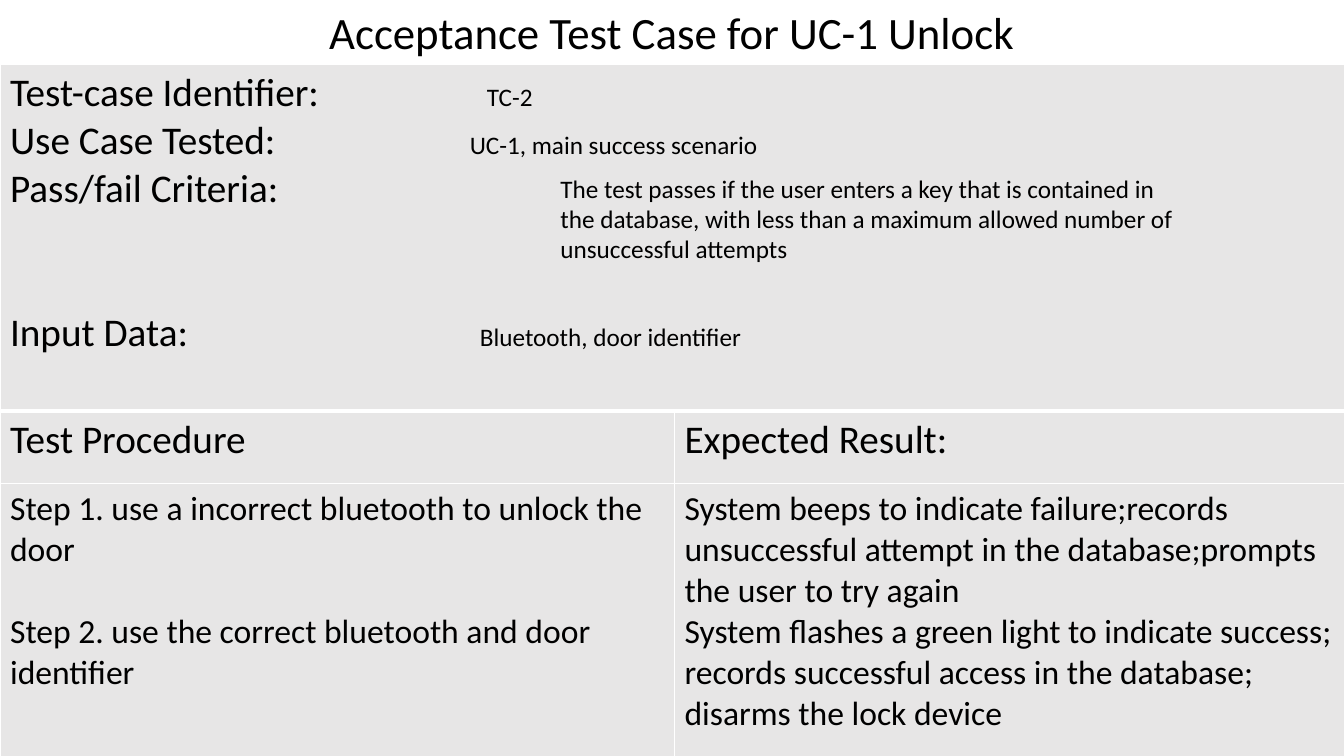
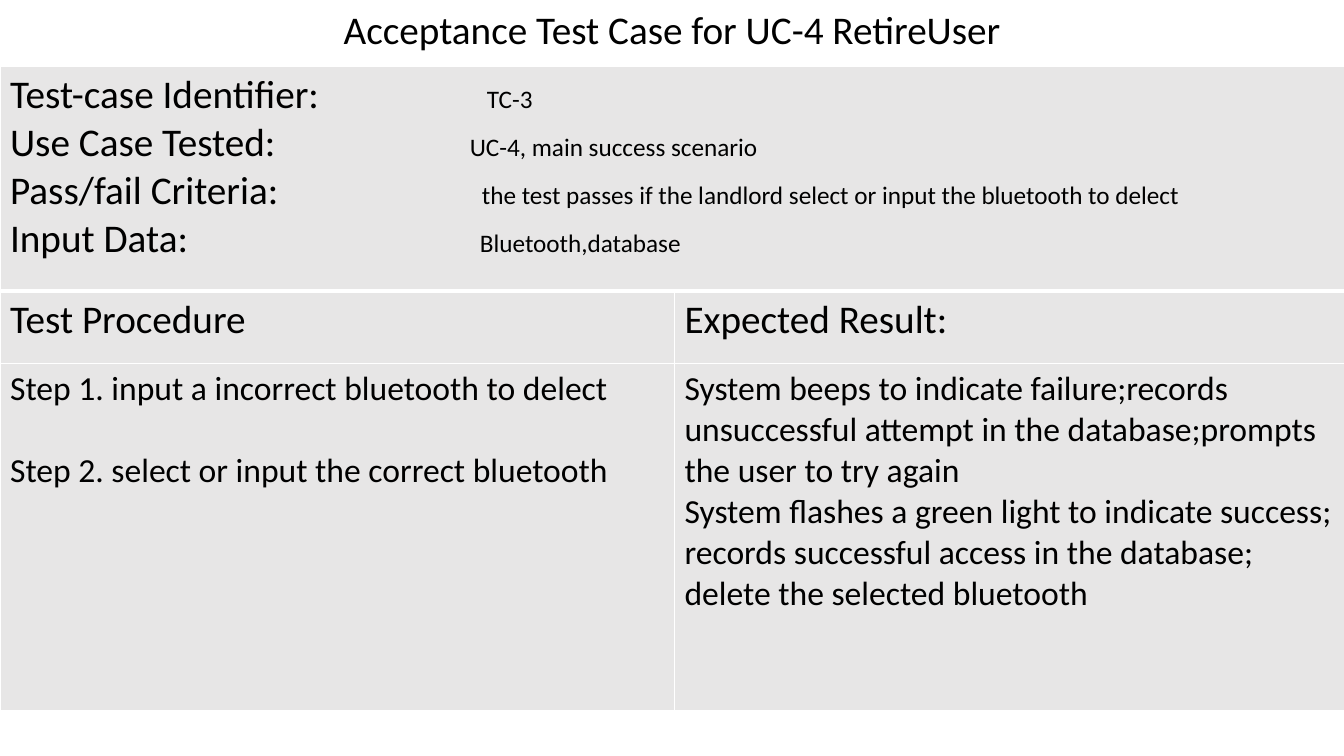
from dataclasses import dataclass

from lxml import etree
from pptx import Presentation
from pptx import util as u
from pptx.dml.color import RGBColor
from pptx.enum import text
from pptx.oxml import ns

SLIDE_WIDTH, SLIDE_HEIGHT = 13.33, 7.5
COLUMNS = (6.69, 6.66)
HEADING_ROW, STEPS_ROW = 0.72, 3.44
TITLE_ONLY = 5


@dataclass(frozen=True)
class Theme:
    font: str = "Calibri"
    ink: str = "000000"
    panel: str = "E7E6E6"
    rule: str = "FFFFFF"
    label: int = 28
    step: int = 24
    value: int = 18
    thin: float = 1
    thick: float = 3
    line_height: float = 1.22


THEME = Theme()

# Field label and the distance from the cell's text edge to its value
FIELDS = (
    ("Test-case Identifier:", 4.73),
    ("Use Case Tested:", 4.56),
    ("Pass/fail Criteria:", 4.68),
    ("Input Data:", 4.66),
)

SHARED_RESULTS = (
    "System beeps to indicate failure;records unsuccessful attempt "
    "in the database;prompts the user to try again",
    "System flashes a green light to indicate success;",
    "records successful access in the database;",
)


@dataclass(frozen=True)
class TestCase:
    title: str
    title_size: int
    title_width: float
    title_height: float
    table_top: float
    summary_row: float
    values: tuple
    steps: tuple
    outcome: str
    criteria_note: tuple = ()


TEST_CASES = (
    TestCase(
        title="Acceptance Test Case for UC-1 Unlock",
        title_size=32,
        title_width=11.49,
        title_height=0.64,
        table_top=0.64,
        summary_row=3.44,
        values=("TC-2", "UC-1, main success scenario", "",
                "Bluetooth, door identifier"),
        steps=("Step 1. use a incorrect bluetooth to unlock the door",
               "Step 2. use the correct bluetooth and door identifier"),
        outcome="disarms the lock device",
        criteria_note=(
            "The test passes if the user enters a key that is contained in",
            "the database, with less than a maximum allowed number of",
            "unsuccessful attempts",
        ),
    ),
    TestCase(
        title="Acceptance Test Case for UC-4 RetireUser",
        title_size=28,
        title_width=8.21,
        title_height=0.57,
        table_top=0.66,
        summary_row=2.23,
        values=("TC-3", "UC-4, main success scenario",
                "the test passes if the landlord select or input "
                "the bluetooth to delect",
                "Bluetooth,database"),
        steps=("Step 1. input a incorrect bluetooth to delect",
               "Step 2. select or input the correct bluetooth"),
        outcome="delete the selected bluetooth",
    ),
)


def add_run(paragraph, wording, size):
    run = paragraph.add_run()
    run.text = wording
    font = run.font
    font.name, font.size, font.bold = THEME.font, u.Pt(size), False
    font.color.rgb = RGBColor.from_string(THEME.ink)


def paragraphs(frame, count):
    """Return the frame's first paragraph followed by new ones."""
    return [frame.paragraphs[0]] + [frame.add_paragraph()
                                    for _ in range(count - 1)]


def write_lines(frame, lines, size, gap=0):
    """Write one paragraph a line, with gap blank line heights between."""
    written = paragraphs(frame, len(lines))
    for paragraph, line in zip(written, lines):
        add_run(paragraph, line, size)
    for paragraph in written[:-1]:
        paragraph.space_after = u.Pt(round(gap * size * THEME.line_height, 1))


def set_tab_stop(paragraph, distance):
    properties = paragraph._p.get_or_add_pPr()
    stops = etree.SubElement(properties, ns.qn("a:tabLst"))
    etree.SubElement(stops, ns.qn("a:tab"),
                     pos=str(u.Inches(distance)), algn="l")


def write_summary(frame, case):
    for paragraph, (label, distance), value in zip(
            paragraphs(frame, len(FIELDS)), FIELDS, case.values):
        add_run(paragraph, label, THEME.label)
        if value:
            set_tab_stop(paragraph, distance)
            add_run(paragraph, "\t", THEME.label)
            add_run(paragraph, value, THEME.value)
        else:
            # Room for the separate criteria note
            paragraph.space_after = u.Pt(
                round(2 * THEME.label * THEME.line_height, 1))


def style_cell(cell, top, bottom):
    properties = cell._tc.get_or_add_tcPr()
    sides = (("L", THEME.thin), ("R", THEME.thin), ("T", top), ("B", bottom))
    for side, width in sides:
        border = etree.SubElement(properties, ns.qn(f"a:ln{side}"),
                                  w=str(u.Pt(width)))
        fill = etree.SubElement(border, ns.qn("a:solidFill"))
        etree.SubElement(fill, ns.qn("a:srgbClr"), val=THEME.rule)
    cell.fill.solid()
    cell.fill.fore_color.rgb = RGBColor.from_string(THEME.panel)


def add_case_table(slide, case):
    rows = (case.summary_row, HEADING_ROW, STEPS_ROW)
    table = slide.shapes.add_table(
        len(rows), len(COLUMNS), 0, u.Inches(case.table_top),
        u.Inches(sum(COLUMNS)), u.Inches(sum(rows))).table
    table.first_row = table.horz_banding = False
    for column, width in zip(table.columns, COLUMNS):
        column.width = u.Inches(width)
    rules = (THEME.thin, THEME.thick, THEME.thin, THEME.thin)
    for index, (row, height) in enumerate(zip(table.rows, rows)):
        row.height = u.Inches(height)
        for cell in row.cells:
            style_cell(cell, rules[index], rules[index + 1])

    summary = table.cell(0, 0)
    summary.merge(table.cell(0, 1))
    write_summary(summary.text_frame, case)
    for column, heading in enumerate(("Test Procedure", "Expected Result:")):
        write_lines(table.cell(1, column).text_frame, (heading,), THEME.label)
    write_lines(table.cell(2, 0).text_frame, case.steps, THEME.step, gap=1)
    write_lines(table.cell(2, 1).text_frame,
                SHARED_RESULTS + (case.outcome,), THEME.step)


def format_title(slide, case):
    title = slide.shapes.title
    title.left = u.Inches((SLIDE_WIDTH - case.title_width) / 2)
    title.top = 0
    title.width = u.Inches(case.title_width)
    title.height = u.Inches(case.title_height)
    frame = title.text_frame
    frame.auto_size = text.MSO_AUTO_SIZE.NONE
    frame.vertical_anchor = text.MSO_ANCHOR.TOP
    frame.paragraphs[0].alignment = text.PP_ALIGN.CENTER
    write_lines(frame, (case.title,), case.title_size)


def add_criteria_note(slide, lines):
    note = slide.shapes.add_textbox(u.Inches(5.46), u.Inches(1.67),
                                    u.Inches(7.58), u.Inches(1.01))
    note.text_frame.word_wrap = True
    write_lines(note.text_frame, lines, THEME.value)


def main():
    deck = Presentation()
    deck.slide_width = u.Inches(SLIDE_WIDTH)
    deck.slide_height = u.Inches(SLIDE_HEIGHT)
    for case in TEST_CASES:
        slide = deck.slides.add_slide(deck.slide_layouts[TITLE_ONLY])
        format_title(slide, case)
        add_case_table(slide, case)
        if case.criteria_note:
            add_criteria_note(slide, case.criteria_note)
    deck.save("out.pptx")


if __name__ == "__main__":
    main()
